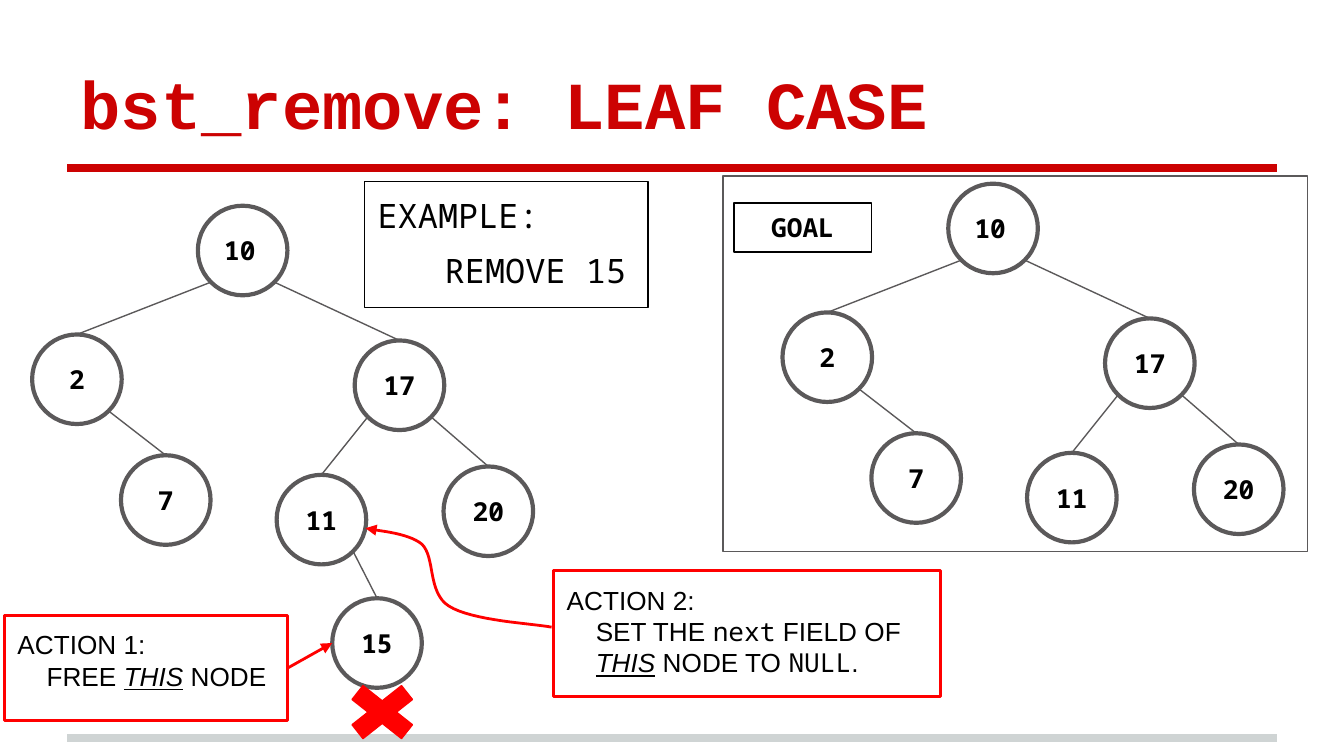
from dataclasses import dataclass

from lxml import etree
from pptx import Presentation
from pptx.dml.color import RGBColor
from pptx.enum.shapes import MSO_CONNECTOR, MSO_SHAPE
from pptx.enum.text import MSO_ANCHOR, MSO_AUTO_SIZE, PP_ALIGN
from pptx.oxml.ns import qn
from pptx.util import Pt

STRAIGHT = MSO_CONNECTOR.STRAIGHT
LEFT, CENTER = PP_ALIGN.LEFT, PP_ALIGN.CENTER
TOP, MIDDLE, BOTTOM = MSO_ANCHOR.TOP, MSO_ANCHOR.MIDDLE, MSO_ANCHOR.BOTTOM

CRIMSON = RGBColor(0xCC, 0x02, 0x02)
RED = RGBColor(0xFF, 0x00, 0x00)
GRAY = RGBColor(0x5B, 0x59, 0x5A)
SILVER = RGBColor(0xCF, 0xD4, 0xD4)
BLACK = RGBColor(0x00, 0x00, 0x00)

SANS, MONO, TITLE_FONT = "Arial", "Noto Sans Mono", "Courier New"
INSET = 7.2
DIAMETER = 48
DIAGONAL = DIAMETER / 2 * 0.7071
GOAL_SHIFT = (402, -11.8)
CURVE_STEPS = 16


@dataclass(frozen=True)
class Node:
    value: int
    left: float
    top: float
    parent: int | None = None
    align: PP_ALIGN = CENTER


@dataclass(frozen=True)
class Span:
    text: str
    font: str | None = None
    emphasis: bool = False


@dataclass(frozen=True)
class Line:
    spans: tuple[Span, ...]
    indent: float = 0
    space_before: float = 0


@dataclass(frozen=True)
class Box:
    left: float
    top: float
    width: float
    height: float
    color: RGBColor
    weight: float = 0.75
    lines: tuple[Line, ...] = ()
    font: str = SANS
    size: float = 14
    bold: bool = False
    align: PP_ALIGN = LEFT
    anchor: MSO_ANCHOR = TOP


GOAL_TREE = (
    Node(10, 106, 110.2, align=LEFT),
    Node(2, 17.2, 179.2, 10),
    Node(17, 190, 182.4, 10),
    Node(7, 64.8, 243.9, 2),
    Node(20, 237.6, 249.9, 17),
    Node(11, 148.2, 254.4, 17),
)
LEAF = Node(15, 178, 320.5, 11)

EXAMPLE = Box(195.2, 97.2, 152, 67.6, BLACK, font=MONO, size=18, lines=(
    Line((Span("EXAMPLE:"),)),
    Line((Span("REMOVE 15"),), indent=36, space_before=8),
))
ACTION_1 = Box(2.3, 329.7, 152, 56.2, RED, 1.5, lines=(
    Line((Span("ACTION 1:"),)),
    Line((Span("FREE "), Span("THIS", emphasis=True), Span(" NODE")), indent=15.6),
))
ACTION_2 = Box(296.5, 305.7, 207.4, 67.5, RED, 1.5, lines=(
    Line((Span("ACTION 2:"),)),
    Line((Span("SET THE "), Span("next", MONO), Span(" FIELD OF")), indent=15.6),
    Line((Span("THIS", emphasis=True), Span(" NODE TO "),
          Span("NULL", MONO), Span(".")), indent=15.6),
))
GOAL_FRAME = Box(387.3, 94.2, 313.2, 201.3, GRAY)
GOAL_LABEL = Box(393.2, 108.7, 73.6, 26.3, BLACK, font=MONO, bold=True,
                 align=CENTER, anchor=MIDDLE, lines=(Line((Span("GOAL"),)),))

# Each curve holds two control points and an end point.
POINTER_START = (295.5, 336)
POINTER_CURVES = (
    ((285.8, 334.1), (252.7, 332.6), (240.5, 324.7)),
    ((229, 317.5), (233.3, 298.8), (226.1, 291.6)),
    ((218.2, 285.1), (200.9, 284.4), (195.8, 283)),
)


def style_line(shape, color: RGBColor, weight: float) -> None:
    shape.line.color.rgb = color
    shape.line.width = Pt(weight)


def add_arrowhead(shape) -> None:
    etree.SubElement(shape.line._get_or_add_ln(), qn("a:tailEnd"), type="triangle")


def set_frame(frame, anchor: MSO_ANCHOR) -> None:
    frame.word_wrap = True
    frame.auto_size = MSO_AUTO_SIZE.NONE
    frame.vertical_anchor = anchor
    frame.margin_left = frame.margin_right = Pt(INSET)
    frame.margin_top = frame.margin_bottom = Pt(INSET)


def set_font(font, name: str, size: float, color: RGBColor, bold: bool) -> None:
    font.name, font.size, font.bold = name, Pt(size), bold
    font.color.rgb = color


def draw_box(shapes, box: Box, kind: MSO_SHAPE = MSO_SHAPE.RECTANGLE):
    shape = shapes.add_shape(kind, Pt(box.left), Pt(box.top), Pt(box.width), Pt(box.height))
    shape.shadow.inherit = False
    shape.fill.background()
    style_line(shape, box.color, box.weight)
    frame = shape.text_frame
    set_frame(frame, box.anchor)
    for index, line in enumerate(box.lines):
        para = frame.add_paragraph() if index else frame.paragraphs[0]
        para.alignment = box.align
        para.space_before = Pt(line.space_before)
        para._p.get_or_add_pPr().set("marL", str(Pt(line.indent)))
        set_font(para.font, box.font, box.size, BLACK, box.bold)
        for span in line.spans:
            run = para.add_run()
            run.text = span.text
            if span.font:
                run.font.name = span.font
            if span.emphasis:
                run.font.italic = run.font.underline = True
    return shape


def draw_line(shapes, start: tuple[float, float], end: tuple[float, float],
              color: RGBColor, weight: float):
    line = shapes.add_connector(STRAIGHT, *map(Pt, start + end))
    style_line(line, color, weight)
    etree.SubElement(line._element.spPr, qn("a:effectLst"))
    return line


def draw_tree(shapes, nodes: tuple[Node, ...], shift: tuple[float, float] = (0, 0)) -> None:
    """Draw each node and link it from its parent's lower left or right."""
    centers = {}
    for node in nodes:
        left, top = node.left + shift[0], node.top + shift[1]
        circle = draw_box(shapes, Box(
            left, top, DIAMETER, DIAMETER, GRAY, 2.25, (Line((Span(str(node.value)),)),),
            MONO, bold=True, align=node.align, anchor=MIDDLE), MSO_SHAPE.OVAL)
        x, y = centers[node.value] = (left + DIAMETER / 2, top + DIAMETER / 2)
        if node.parent is not None:
            parent_x, parent_y = centers[node.parent]
            side = DIAGONAL if x > parent_x else -DIAGONAL
            edge = draw_line(shapes, (parent_x + side, parent_y + DIAGONAL),
                             (x, top), GRAY, 0.75)
            edge.end_connect(circle, 0)


def draw_pointer(shapes) -> None:
    """Draw the curved arrow from action 2 to node 11."""
    points, start = [], POINTER_START
    for first, second, end in POINTER_CURVES:
        for step in range(1, CURVE_STEPS + 1):
            t = step / CURVE_STEPS
            points.append(tuple(
                Pt((1 - t) ** 3 * a + 3 * (1 - t) ** 2 * t * b + 3 * (1 - t) * t ** 2 * c + t ** 3 * d)
                for a, b, c, d in zip(start, first, second, end)))
        start = end
    builder = shapes.build_freeform(*map(Pt, POINTER_START))
    builder.add_line_segments(points, close=False)
    pointer = builder.convert_to_shape()
    pointer.shadow.inherit = False
    pointer.fill.background()
    style_line(pointer, RED, 1.5)
    add_arrowhead(pointer)


def main() -> None:
    deck = Presentation()
    deck.slide_width, deck.slide_height = Pt(720), Pt(405)
    page = deck.slides.add_slide(deck.slide_layouts[5])
    shapes = page.shapes

    for y, color in ((395.5, SILVER), (90, CRIMSON)):
        draw_line(shapes, (36, y), (684, y), color, 4)

    title = shapes.title
    title.left, title.top, title.width, title.height = map(Pt, (36, 16.5, 648, 67.5))
    title.text_frame.text = "bst_remove: LEAF CASE"
    set_frame(title.text_frame, BOTTOM)
    heading = title.text_frame.paragraphs[0]
    heading.alignment = LEFT
    set_font(heading.font, TITLE_FONT, 36, CRIMSON, True)

    draw_tree(shapes, GOAL_TREE + (LEAF,))
    draw_box(shapes, EXAMPLE)
    draw_tree(shapes, GOAL_TREE, GOAL_SHIFT)

    action_1 = draw_box(shapes, ACTION_1)
    cross = draw_box(shapes, Box(179.3, 361.4, 51, 40.3, RED), MSO_SHAPE.MATH_MULTIPLY)
    cross.adjustments[0] = 0.235
    cross.fill.solid()
    cross.fill.fore_color.rgb = RED
    arrow = draw_line(shapes, (154.3, 357.8), (LEAF.left, LEAF.top + DIAMETER / 2), RED, 1.5)
    arrow.begin_connect(action_1, 3)
    add_arrowhead(arrow)

    draw_box(shapes, ACTION_2)
    draw_pointer(shapes)
    draw_box(shapes, GOAL_FRAME)
    draw_box(shapes, GOAL_LABEL)
    deck.save("out.pptx")


if __name__ == "__main__":
    main()
